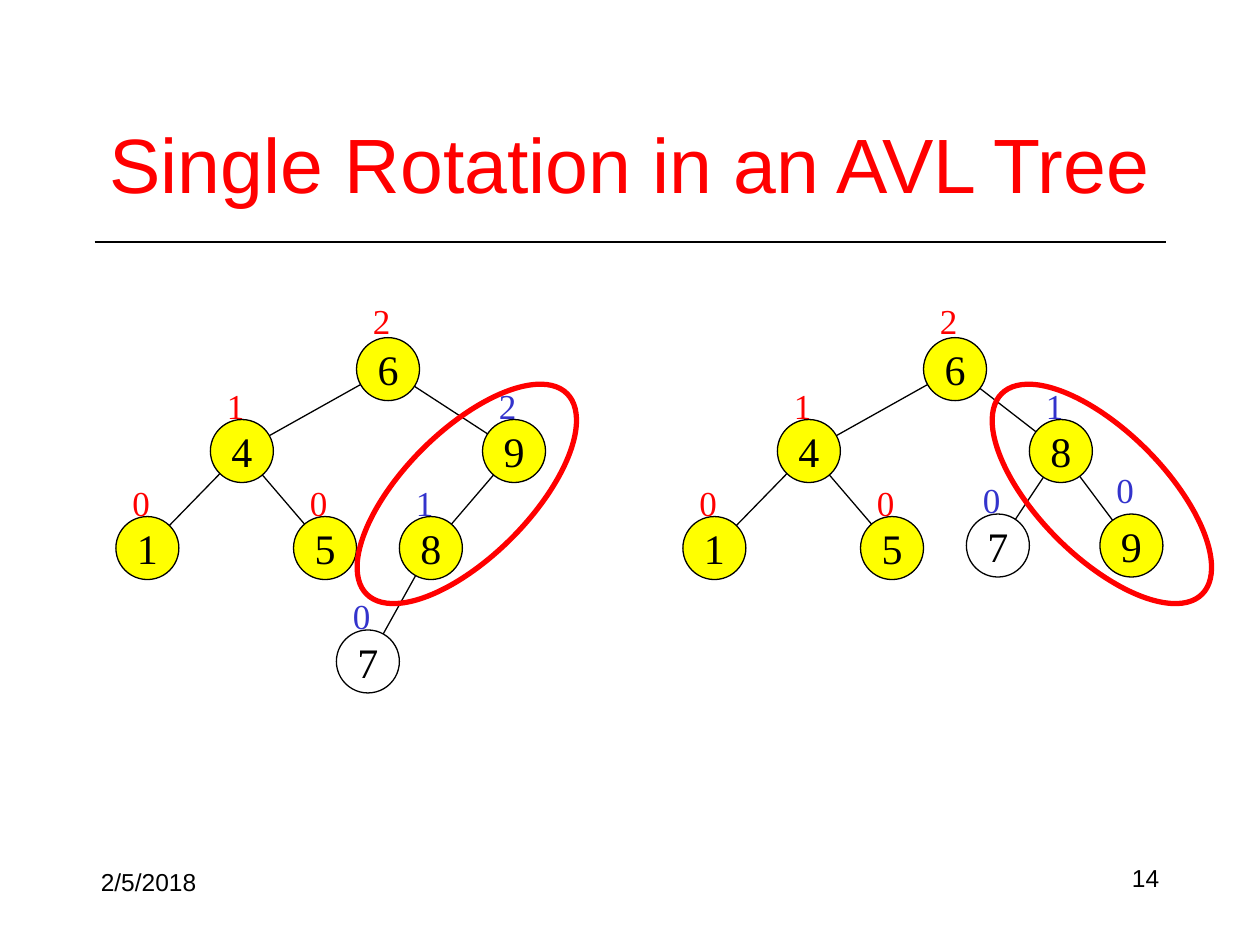
from dataclasses import dataclass
from math import hypot
from typing import Optional

from lxml.etree import SubElement
from pptx import Presentation
from pptx.dml.color import RGBColor
from pptx.enum.shapes import MSO_CONNECTOR as Connector, MSO_SHAPE as Shape
from pptx.enum.text import MSO_ANCHOR as Anchor, PP_ALIGN as Align
from pptx.oxml.ns import qn
from pptx.util import Inches, Pt

BLACK = RGBColor(0x00, 0x00, 0x00)
RED = RGBColor(0xFF, 0x00, 0x00)
BLUE = RGBColor(0x33, 0x33, 0xCC)
YELLOW = RGBColor(0xFF, 0xFF, 0x00)
SANS, SERIF = "Arial", "Times New Roman"
DIAMETER = 0.5
TREE_SHIFT = 4.5


@dataclass(frozen=True)
class Node:
    key: int
    left: float
    top: float
    height: int
    parent: Optional[int] = None
    height_color: RGBColor = RED
    fill: Optional[RGBColor] = YELLOW
    label_rise: float = 0.33


def shared_nodes(shift: float) -> list[Node]:
    """The part of the tree that the rotation leaves alone."""
    return [
        Node(6, 2.83 + shift, 2.68, 2, label_rise=0.35),
        Node(4, 1.67 + shift, 3.33, 1, parent=6),
        Node(1, 0.92 + shift, 4.1, 0, parent=4),
        Node(5, 2.33 + shift, 4.1, 0, parent=4),
    ]


BEFORE = shared_nodes(0) + [
    Node(9, 3.83, 3.33, 2, 6, BLUE),
    Node(8, 3.17, 4.1, 1, 9, BLUE),
    Node(7, 2.67, 5, 0, 8, BLUE, fill=None),
]
AFTER = shared_nodes(TREE_SHIFT) + [
    Node(8, 8.17, 3.33, 1, 6, BLUE),
    Node(9, 8.73, 4.08, 0, 8, BLUE, label_rise=0.41),
    Node(7, 7.67, 4.08, 0, 8, BLUE, fill=None),
]


def set_text(shape, text: str, size: int, font_name: str, color: RGBColor,
             align: Align = Align.LEFT, inset: float = 0.05, wrap: bool = False):
    frame = shape.text_frame
    frame.word_wrap = wrap
    frame.margin_left = frame.margin_right = Inches(inset)
    frame.margin_top = frame.margin_bottom = Inches(inset)
    paragraph = frame.paragraphs[0]
    paragraph.text = text
    paragraph.alignment = align
    paragraph.font.size = Pt(size)
    paragraph.font.name = font_name
    paragraph.font.color.rgb = color
    return paragraph


def add_text(slide, left: float, top: float, width: float, height: float, text: str,
             size: int, font_name: str, color: RGBColor, **options):
    box = slide.shapes.add_textbox(Inches(left), Inches(top), Inches(width), Inches(height))
    return set_text(box, text, size, font_name, color, **options)


def add_line(slide, x1: float, y1: float, x2: float, y2: float) -> None:
    line = slide.shapes.add_connector(
        Connector.STRAIGHT, Inches(x1), Inches(y1), Inches(x2), Inches(y2))
    line.line.color.rgb = BLACK
    line.line.width = Pt(0.75)
    SubElement(line._element.spPr, qn("a:effectLst"))


def add_ellipse(slide, left: float, top: float, width: float, height: float,
                fill: Optional[RGBColor], line_color: RGBColor, line_width: float):
    ellipse = slide.shapes.add_shape(
        Shape.OVAL, Inches(left), Inches(top), Inches(width), Inches(height))
    ellipse.shadow.inherit = False
    if fill is None:
        ellipse.fill.background()
    else:
        ellipse.fill.solid()
        ellipse.fill.fore_color.rgb = fill
    ellipse.line.color.rgb = line_color
    ellipse.line.width = Pt(line_width)
    return ellipse


def add_edge(slide, parent: Node, child: Node) -> None:
    """Join two nodes from rim to rim, along the line of their centres."""
    radius = DIAMETER / 2
    dx, dy = child.left - parent.left, child.top - parent.top
    trim = radius / hypot(dx, dy)
    add_line(slide,
             parent.left + radius + dx * trim, parent.top + radius + dy * trim,
             child.left + radius - dx * trim, child.top + radius - dy * trim)


def add_tree(slide, nodes: list[Node]) -> None:
    by_key = {node.key: node for node in nodes}
    for node in nodes:
        add_text(slide, node.left + 0.08, node.top - node.label_rise, 0.25, 0.41,
                 str(node.height), 20, SERIF, node.height_color)
        circle = add_ellipse(slide, node.left, node.top, DIAMETER, DIAMETER,
                             node.fill, BLACK, 0.75)
        circle.text_frame.vertical_anchor = Anchor.MIDDLE
        set_text(circle, str(node.key), 24, SERIF, BLACK, align=Align.CENTER, inset=0)
        if node.parent is not None:
            add_edge(slide, by_key[node.parent], node)


def main() -> None:
    presentation = Presentation()
    presentation.slide_width, presentation.slide_height = Inches(10), Inches(7.5)
    slide = presentation.slides.add_slide(presentation.slide_layouts[5])

    # Title and rule
    title = slide.shapes.title
    title.left, title.top = Inches(0.75), Inches(0.67)
    title.width, title.height = Inches(8.5), Inches(1.25)
    title.text_frame.vertical_anchor = Anchor.MIDDLE
    set_text(title, "Single Rotation in an AVL Tree", 44, SANS, RED,
             align=Align.CENTER, wrap=True)
    add_line(slide, 0.75, 1.92, 9.25, 1.92)

    # Trees before and after the rotation
    add_tree(slide, BEFORE)
    add_tree(slide, AFTER)

    # Rings around the rotated nodes
    for left, rotation in ((2.58, 315), (7.62, 45)):
        ring = add_ellipse(slide, left, 3.42, 2.25, 1, None, RED, 3)
        ring.rotation = rotation

    # Footer
    add_text(slide, 0.75, 6.83, 2.08, 0.34, "2/5/2018", 14, SANS, BLACK, wrap=True)
    number = add_text(slide, 7.17, 6.83, 2.08, 0.32, "14", 14, SANS, BLACK,
                      align=Align.RIGHT, wrap=True)
    number.line_spacing = 0.9

    presentation.save("out.pptx")


if __name__ == "__main__":
    main()
